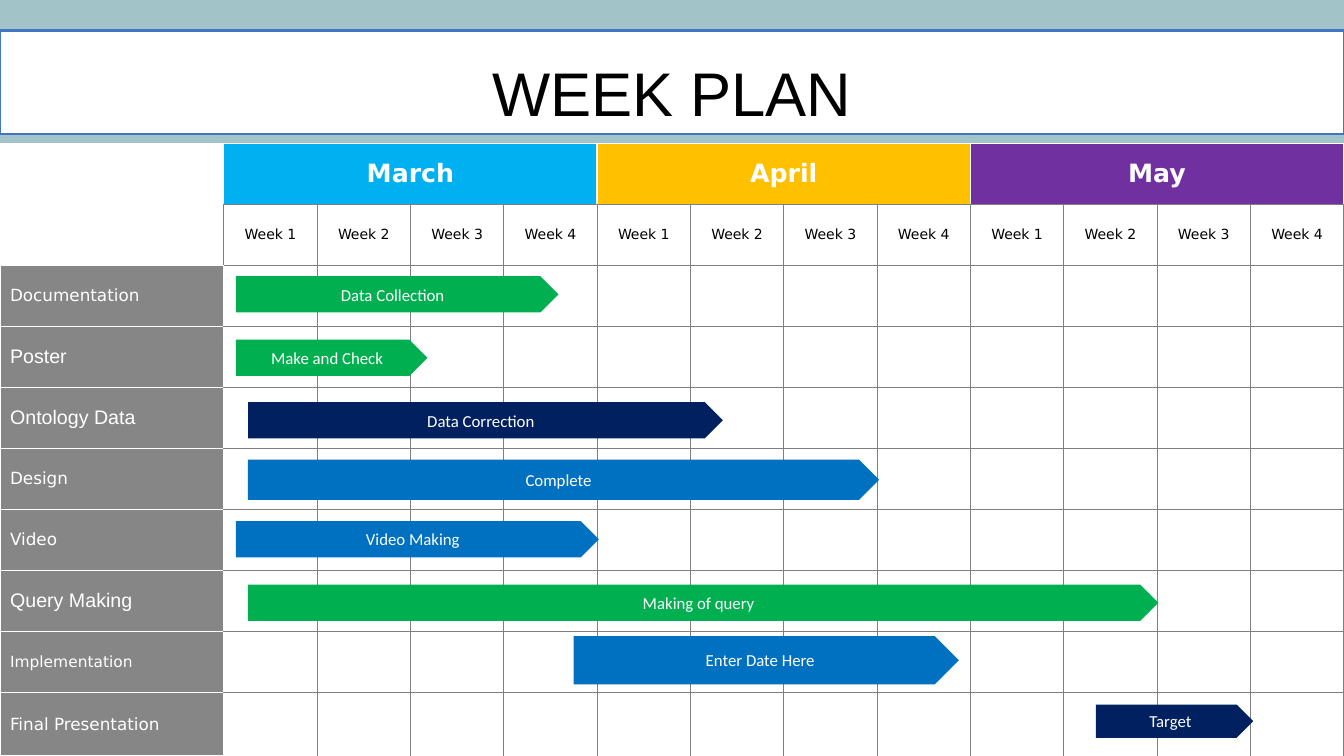
import pptx
import pptx.dml.color
import pptx.enum.shapes
import pptx.enum.text
import pptx.oxml
import pptx.util
from pptx.util import Inches

RGB = pptx.dml.color.RGBColor.from_string
ANCHOR = pptx.enum.text.MSO_ANCHOR
ALIGN = pptx.enum.text.PP_ALIGN
CENTER, LEFT = ALIGN.CENTER, ALIGN.LEFT

THEME = {
    "background": "A2C4C9", "white": "FFFFFF", "black": "000000",
    "grid": "7F7F7F", "task": "868686", "title_line": "4472C4",
    "cyan": "00B0F0", "amber": "FFC000", "purple": "7030A0",
    "green": "00B050", "navy": "002060", "blue": "0070C0",
    "title_font": "Arial", "table_font": "DejaVu Sans", "bar_font": "Calibri",
    "title_size": 44, "month_size": 18, "week_size": 10, "bar_size": 12,
}
WHITE = THEME["white"]
MONTHS = [("March", "cyan"), ("April", "amber"), ("May", "purple")]
WEEKS = 4
TASKS = [  # name, font, size
    ("Documentation", "DejaVu Sans", 12), ("Poster", "Arial", 14),
    ("Ontology Data", "Arial", 14), ("Design", "DejaVu Sans", 12),
    ("Video", "DejaVu Sans", 12), ("Query Making", "Arial", 14),
    ("Implementation", "DejaVu Sans", 11), ("Final Presentation", "DejaVu Sans", 12),
]
BARS = [  # text, colour, left, top, width, height
    ("Data Collection", "green", 2.34, 2.74, 3.2, 0.36),
    ("Make and Check", "green", 2.34, 3.37, 1.9, 0.36),
    ("Data Correction", "navy", 2.46, 3.99, 4.71, 0.36),
    ("Complete", "blue", 2.46, 4.56, 6.26, 0.4),
    ("Video Making", "blue", 2.34, 5.17, 3.6, 0.36),
    ("Making of query", "green", 2.46, 5.8, 9.03, 0.36),
    ("Target", "navy", 10.87, 6.99, 1.56, 0.33),
    ("Enter Date Here", "blue", 5.69, 6.31, 3.82, 0.48),
]


def write(tf, text, font, size, color, bold=False, align=CENTER):
    """Put one formatted line of text in a text frame."""
    p = tf.paragraphs[0]
    p.alignment = align
    r = p.add_run()
    r.text = text
    r.font.color.rgb = RGB(color)
    values = {"name": font, "size": pptx.util.Pt(size), "bold": bold}
    for name, value in values.items():
        setattr(r.font, name, value)


def draw_borders(cell, colors):
    """Draw the left, right, top and bottom borders of a table cell."""
    tc_pr = cell._tc.get_or_add_tcPr()
    for side, color in zip("LRTB", colors):
        width = pptx.util.Pt(1 if color == WHITE else 0.75)
        tc_pr.append(pptx.oxml.parse_xml(
            '<a:ln%s xmlns:a="http://schemas.openxmlformats.org/drawingml/2006/main" w="%d">'
            '<a:solidFill><a:srgbClr val="%s"/></a:solidFill></a:ln%s>'
            % (side, width, color, side)))


prs = pptx.Presentation()
prs.slide_width, prs.slide_height = Inches(13.33), Inches(7.5)
slide = prs.slides.add_slide(prs.slide_layouts[5])
slide.background.fill.solid()
slide.background.fill.fore_color.rgb = RGB(THEME["background"])

# Title band
title = slide.shapes.title
frame = {"left": 0, "top": 0.3, "width": 13.33, "height": 1.03}
for name, value in frame.items():
    setattr(title, name, Inches(value))
title.fill.solid()
title.fill.fore_color.rgb = RGB(WHITE)
title.line.color.rgb = RGB(THEME["title_line"])
title.line.width = pptx.util.Pt(2)
tf = title.text_frame
tf_format = {"auto_size": pptx.enum.text.MSO_AUTO_SIZE.NONE, "word_wrap": True,
             "vertical_anchor": ANCHOR.TOP, "margin_top": Inches(0.24)}
for name, value in tf_format.items():
    setattr(tf, name, value)
write(tf, "WEEK PLAN", THEME["title_font"], THEME["title_size"], THEME["black"])

# Schedule grid
n_rows, n_cols = 2 + len(TASKS), 1 + WEEKS * len(MONTHS)
task_width, last_height = 2.22, 0.63
table = slide.shapes.add_table(n_rows, n_cols, Inches(0), Inches(1.42),
                               Inches(13.33), Inches(6.08)).table
table.first_row = table.horz_banding = False
for i, column in enumerate(table.columns):
    column.width = Inches((13.33 - task_width) / (n_cols - 1) if i else task_width)
for i, row in enumerate(table.rows):
    row.height = Inches(last_height if i == n_rows - 1 else (6.08 - last_height) / (n_rows - 1))

for i in range(n_rows):
    # White edges frame the months and tasks; the rest of the grid is grey
    edges = [WHITE if i == 0 or j == 0 or (j == 1 and i > 1) else THEME["grid"]
             for j in range(n_cols + 1)]
    for j in range(n_cols):
        cell = table.cell(i, j)
        top = WHITE if i == 0 or j == 0 else THEME["grid"]
        bottom = WHITE if j == 0 else THEME["grid"]
        draw_borders(cell, (edges[j], edges[j + 1], top, bottom))
        cell.vertical_anchor = ANCHOR.MIDDLE
        fill = WHITE
        if i == 0 and j > 0:
            month, color = MONTHS[(j - 1) // WEEKS]
            fill = THEME[color]
            if (j - 1) % WEEKS == 0:
                cell.merge(table.cell(0, j + WEEKS - 1))
                write(cell.text_frame, month, THEME["table_font"],
                      THEME["month_size"], WHITE, bold=True)
        elif i == 1 and j > 0:
            write(cell.text_frame, f"Week {(j - 1) % WEEKS + 1}", THEME["table_font"],
                  THEME["week_size"], THEME["black"])
        elif i > 1 and j == 0:
            fill = THEME["task"]
            write(cell.text_frame, *TASKS[i - 2], WHITE, align=LEFT)
        cell.fill.solid()
        cell.fill.fore_color.rgb = RGB(fill)

# Task bars
for text, color, *box in BARS:
    sp = slide.shapes.add_shape(pptx.enum.shapes.MSO_SHAPE.PENTAGON, *map(Inches, box))
    sp.shadow.inherit = False
    sp.fill.solid()
    sp.fill.fore_color.rgb = RGB(THEME[color])
    sp.line.fill.background()
    sp.text_frame.vertical_anchor = ANCHOR.MIDDLE
    write(sp.text_frame, text, THEME["bar_font"], THEME["bar_size"], WHITE)

prs.save("out.pptx")
